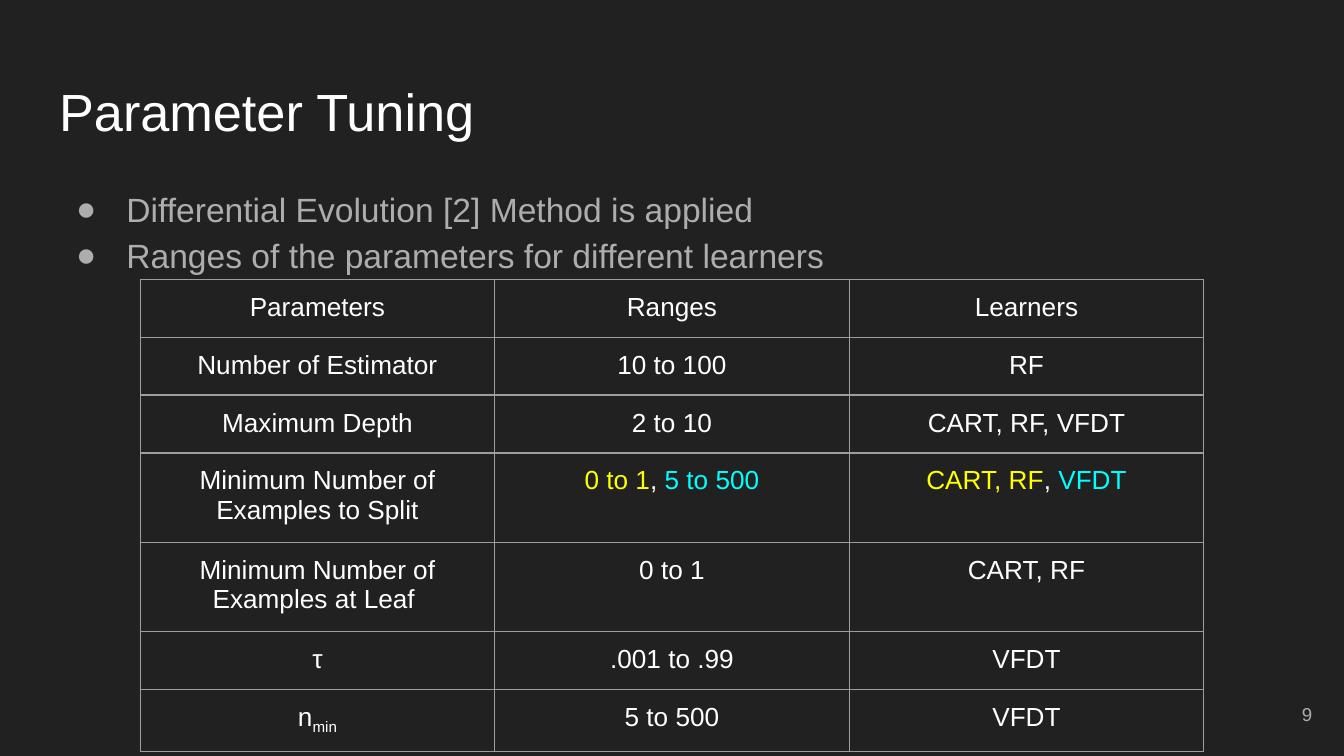
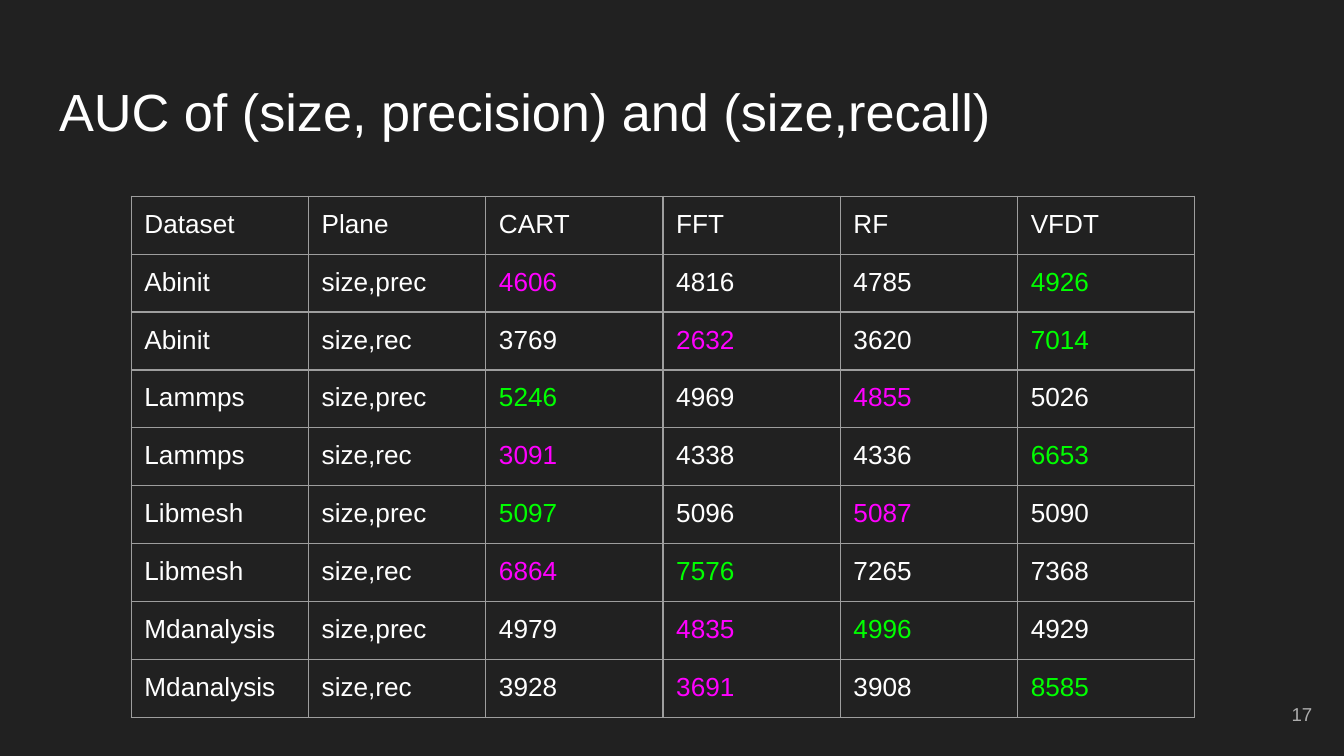
from lxml.etree import SubElement
from pptx import Presentation
from pptx.dml.color import RGBColor
from pptx.enum.text import MSO_ANCHOR, PP_ALIGN
from pptx.oxml.ns import qn
from pptx.util import Cm, Pt

FONT = "Arial"
BACKGROUND, WHITE, GREY, BORDER = "212121", "FFFFFF", "ADADAD", "9E9E9E"
YELLOW, CYAN, MAGENTA, GREEN = "FFFF00", "00FFFF", "FF00FF", "00FF00"
INSET = Cm(0.25)
ROW_HEIGHT = Cm(1.06)
TABLE_WIDTH = 20.1

TUNING_TITLE = "Parameter Tuning"
TUNING_BULLETS = [
    "Differential Evolution [2] Method is applied",
    "Ranges of the parameters for different learners",
]
TUNING_ROWS = [
    ("Parameters", "Ranges", "Learners"),
    ("Number of Estimator", "10 to 100", "RF"),
    ("Maximum Depth", "2 to 10", "CART, RF, VFDT"),
    (
        "Minimum Number of Examples to Split",
        [("0 to 1", YELLOW), (", ", WHITE), ("5 to 500", CYAN)],
        [("CART, RF", YELLOW), (", ", WHITE), ("VFDT", CYAN)],
    ),
    ("Minimum Number of Examples at Leaf ", "0 to 1", "CART, RF"),
    ("τ", ".001 to .99", "VFDT"),
    ([("n", WHITE), ("min", WHITE, "-25000")], "5 to 500", "VFDT"),
]

AUC_TITLE = "AUC of (size, precision) and (size,recall)"
AUC_HEADER = ("Dataset", "Plane", "CART", "FFT", "RF", "VFDT")
AUC_SCORES = [
    ("Abinit", "size,prec", 4606, 4816, 4785, 4926),
    ("Abinit", "size,rec", 3769, 2632, 3620, 7014),
    ("Lammps", "size,prec", 5246, 4969, 4855, 5026),
    ("Lammps", "size,rec", 3091, 4338, 4336, 6653),
    ("Libmesh", "size,prec", 5097, 5096, 5087, 5090),
    ("Libmesh", "size,rec", 6864, 7576, 7265, 7368),
    ("Mdanalysis", "size,prec", 4979, 4835, 4996, 4929),
    ("Mdanalysis", "size,rec", 3928, 3691, 3908, 8585),
]


def rgb(value):
    return RGBColor.from_string(value)


def format_run(run, size, color):
    run.font.name = FONT
    run.font.size = Pt(size)
    run.font.color.rgb = rgb(color)


def add_text(slide, text, left, top, width, height, size, color):
    shape = slide.shapes.add_textbox(Cm(left), Cm(top), Cm(width), Cm(height))
    frame = shape.text_frame
    frame.word_wrap = True
    frame.margin_left = frame.margin_right = INSET
    frame.margin_top = frame.margin_bottom = INSET
    frame.text = text
    for paragraph in frame.paragraphs:
        for run in paragraph.runs:
            format_run(run, size, color)
    return frame


def add_bullets(slide, lines):
    frame = add_text(slide, "\n".join(lines), 0.87, 3.2, 23.67, 9.5, 18, GREY)
    for paragraph in frame.paragraphs:
        paragraph.line_spacing = 1.15
        properties = paragraph._p.get_or_add_pPr()
        properties.set("marL", str(Cm(1.27)))
        properties.set("indent", str(-Cm(0.95)))
        color = SubElement(properties, qn("a:buClr"))
        SubElement(color, qn("a:srgbClr"), val=GREY)
        SubElement(properties, qn("a:buFont"), typeface=FONT)
        SubElement(properties, qn("a:buChar"), char="●")


def add_slide(presentation, title, number):
    slide = presentation.slides.add_slide(presentation.slide_layouts[6])
    slide.background.fill.solid()
    slide.background.fill.fore_color.rgb = rgb(BACKGROUND)
    add_text(slide, title, 0.87, 1.24, 23.67, 1.59, 28, WHITE)
    footer = add_text(slide, str(number), 23.53, 12.95, 1.52, 1.09, 10, GREY)
    footer.vertical_anchor = MSO_ANCHOR.MIDDLE
    footer.paragraphs[0].alignment = PP_ALIGN.RIGHT
    return slide


def draw_borders(cell):
    properties = cell._tc.get_or_add_tcPr()
    for side in ("lnL", "lnR", "lnT", "lnB"):
        line = SubElement(properties, qn(f"a:{side}"), w=str(Pt(0.75)))
        fill = SubElement(line, qn("a:solidFill"))
        SubElement(fill, qn("a:srgbClr"), val=BORDER)


def fill_cell(cell, content, alignment):
    cell.margin_left = cell.margin_right = INSET
    cell.margin_top = cell.margin_bottom = INSET
    draw_borders(cell)
    cell.fill.background()
    paragraph = cell.text_frame.paragraphs[0]
    paragraph.alignment = alignment
    parts = [(content, WHITE)] if isinstance(content, str) else content
    for text, color, *baseline in parts:
        run = paragraph.add_run()
        run.text = text
        format_run(run, 14, color)
        if baseline:
            run._r.get_or_add_rPr().set("baseline", baseline[0])


def add_grid(slide, rows, left, top, alignment):
    columns = len(rows[0])
    frame = slide.shapes.add_table(
        len(rows), columns, Cm(left), Cm(top), Cm(TABLE_WIDTH), ROW_HEIGHT * len(rows)
    )
    table = frame.table
    table.first_row = table.horz_banding = False
    for column in table.columns:
        column.width = Cm(TABLE_WIDTH / columns)
    for row, contents in zip(table.rows, rows):
        row.height = ROW_HEIGHT
        for cell, content in zip(row.cells, contents):
            fill_cell(cell, content, alignment)


def highlight_extremes(row):
    dataset, plane, *scores = row
    colors = {min(scores): MAGENTA, max(scores): GREEN}
    return [dataset, plane] + [[(str(score), colors.get(score, WHITE))] for score in scores]


def main():
    presentation = Presentation()
    presentation.slide_width = Cm(25.4)
    presentation.slide_height = Cm(14.29)

    tuning = add_slide(presentation, TUNING_TITLE, 9)
    add_bullets(tuning, TUNING_BULLETS)
    add_grid(tuning, TUNING_ROWS, 2.65, 5.28, PP_ALIGN.CENTER)

    auc = add_slide(presentation, AUC_TITLE, 17)
    auc_rows = [AUC_HEADER] + [highlight_extremes(row) for row in AUC_SCORES]
    add_grid(auc, auc_rows, 2.48, 3.71, PP_ALIGN.LEFT)

    presentation.save("out.pptx")


if __name__ == "__main__":
    main()
